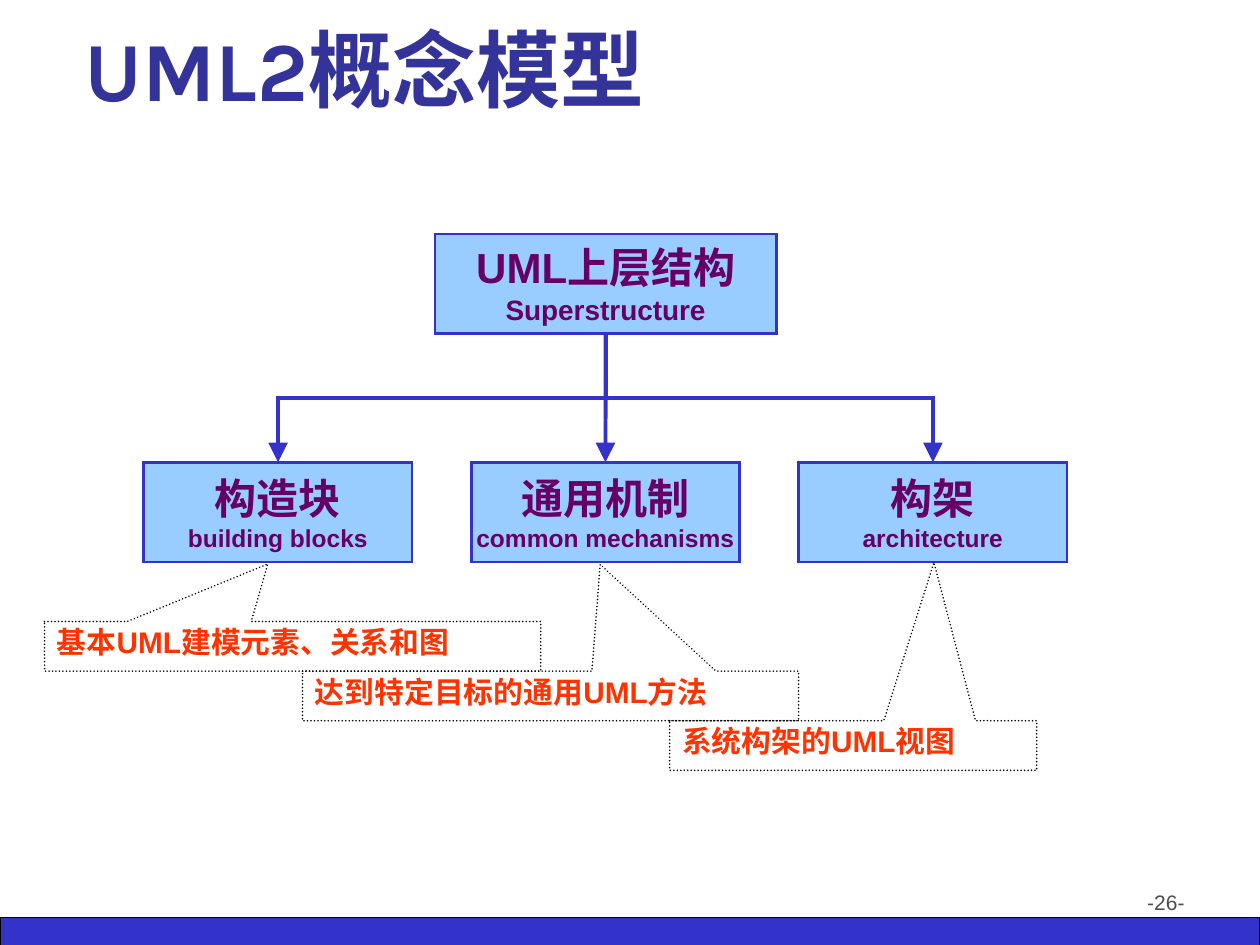
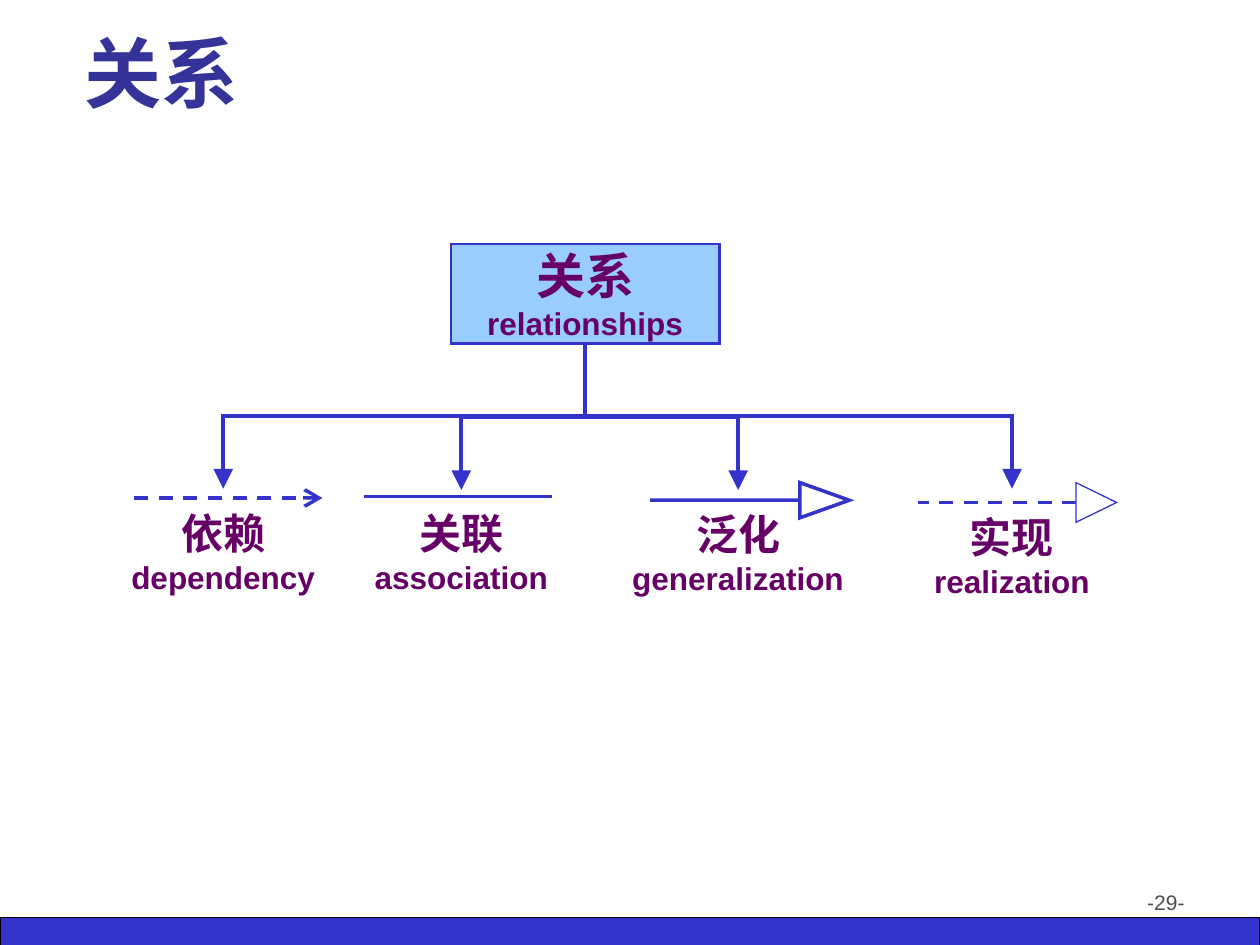
"""Build two slides on the UML2 conceptual model and its relationships."""
from dataclasses import dataclass

import pptx
import pptx.dml.color
import pptx.enum.dml
import pptx.enum.shapes
import pptx.enum.text
import pptx.oxml.ns
import pptx.util
from lxml import etree

Cm = pptx.util.Cm
Pt = pptx.util.Pt
qn = pptx.oxml.ns.qn
SHAPE = pptx.enum.shapes.MSO_SHAPE
CONNECTOR = pptx.enum.shapes.MSO_CONNECTOR
DASH = pptx.enum.dml.MSO_LINE
ALIGN = pptx.enum.text.PP_ALIGN
ANCHOR = pptx.enum.text.MSO_ANCHOR


@dataclass(frozen=True)
class Theme:
    """Colours, fonts, type sizes and line widths of the deck."""

    title: str = "333399"
    accent: str = "3333CC"
    box: str = "99CCFF"
    label: str = "660066"
    note: str = "FF3300"
    page: str = "4D4D4D"
    black: str = "000000"
    title_font: str = "Karla"
    body_font: str = "Arial"
    name_size: int = 24
    english_size: int = 18
    note_size: int = 17
    page_size: int = 12
    box_line: float = 1.5
    tree_line: float = 2.25
    sample_line: float = 2
    note_line: float = 1
    thin_line: float = 0.75


THEME = Theme()
BOX_WIDTH, BOX_HEIGHT = 5.41, 2.01


def rgb(value):
    """Turn a hexadecimal string into a colour."""
    return pptx.dml.color.RGBColor.from_string(value)


def style_line(shape, color, width, dash=None):
    """Set the colour, width and dash of a shape's line, with mitred corners."""
    shape.line.color.rgb = rgb(color)
    shape.line.width = Pt(width)
    if dash is not None:
        shape.line.dash_style = dash
    outline = shape._element.spPr.find(qn("a:ln"))
    etree.SubElement(outline, qn("a:miter"), lim="800000")
    return outline


def style_paragraph(paragraph, size, color, bold=True, font=THEME.body_font, align=ALIGN.LEFT):
    """Set the font and alignment of a paragraph."""
    paragraph.font.name = font
    paragraph.font.size = Pt(size)
    paragraph.font.bold = bold
    paragraph.font.color.rgb = rgb(color)
    paragraph.alignment = align


def add_outline(shapes, kind, left, top, width, height, color, line_width, fill=None, dash=None):
    """Add a preset shape with a line, filled only when a fill is given."""
    shape = shapes.add_shape(kind, Cm(left), Cm(top), Cm(width), Cm(height))
    shape.shadow.inherit = False
    if fill:
        shape.fill.solid()
        shape.fill.fore_color.rgb = rgb(fill)
    else:
        shape.fill.background()
    outline = style_line(shape, color, line_width, dash)
    if dash == DASH.ROUND_DOT:
        outline.set("cap", "rnd")
    return shape


def write_label(shape, name, english, name_size, english_size):
    """Write a Chinese name above its English term, centred."""
    frame = shape.text_frame
    frame.word_wrap = False
    frame.text = f"{name}\n{english}"
    for paragraph, size in zip(frame.paragraphs, (name_size, english_size)):
        style_paragraph(paragraph, size, THEME.label, align=ALIGN.CENTER)


def add_box(slide, left, top, name, english, english_size, name_size=THEME.name_size, width=BOX_WIDTH):
    """Add a labelled node of the tree."""
    box = add_outline(slide.shapes, SHAPE.RECTANGLE, left, top, width, BOX_HEIGHT,
                      THEME.accent, THEME.box_line, THEME.box)
    write_label(box, name, english, name_size, english_size)
    box.text_frame.vertical_anchor = ANCHOR.MIDDLE
    return box


def add_caption(slide, center, top, inset, name, english):
    """Add a caption that hangs below a sample line."""
    width = 4.8
    caption = slide.shapes.add_textbox(Cm(center - width / 2), Cm(top), Cm(width), Cm(2.4))
    write_label(caption, name, english, THEME.name_size, THEME.english_size)
    caption.text_frame.margin_top = Cm(inset)
    return caption


def add_callout(slide, left, top, width, text, pointer):
    """Add a dotted callout whose pointer is given relative to its size."""
    callout = add_outline(slide.shapes, SHAPE.RECTANGULAR_CALLOUT, left, top, width, 1,
                          THEME.black, THEME.note_line, dash=DASH.ROUND_DOT)
    callout.adjustments[0], callout.adjustments[1] = pointer
    frame = callout.text_frame
    frame.vertical_anchor = ANCHOR.TOP
    frame.text = text
    style_paragraph(frame.paragraphs[0], THEME.note_size, THEME.note)
    frame.paragraphs[0].line_spacing = 0.9


def finish_connector(connector, width, dash=None, head=None):
    """Style a connector, with a large arrowhead at its end when one is named."""
    outline = style_line(connector, THEME.accent, width, dash)
    if head:
        etree.SubElement(outline, qn("a:tailEnd"), type=head, w="lg", len="lg")
    etree.SubElement(connector._element.spPr, qn("a:effectLst"))


def add_sample(shapes, left, right, height, dash=None, head=None):
    """Add a horizontal line that shows a relationship's notation."""
    sample = shapes.add_connector(CONNECTOR.STRAIGHT, Cm(left), Cm(height), Cm(right), Cm(height))
    finish_connector(sample, THEME.sample_line, dash, head)


def link(slide, parent, child):
    """Join a parent's bottom to a child's top, bending where they are not aligned."""
    start_x, start_y = parent.left + parent.width // 2, parent.top + parent.height
    end_x, end_y = child.left + child.width // 2, child.top
    across, down = end_x - start_x, end_y - start_y
    straight = abs(across) < Cm(0.05)
    kind = CONNECTOR.STRAIGHT if straight else CONNECTOR.ELBOW
    connector = slide.shapes.add_connector(kind, start_x, start_y, end_x, end_y)
    connector.begin_connect(parent, 2)
    connector.end_connect(child, 0)
    if not straight:
        connector.left = (start_x + end_x - down) // 2
        connector.top = (start_y + end_y - abs(across)) // 2
        connector.width, connector.height = down, abs(across)
        transform = connector._element.spPr.find(qn("a:xfrm"))
        transform.set("rot", "5400000" if across < 0 else "16200000")
        transform.set("flipH", "0" if across < 0 else "1")
    finish_connector(connector, THEME.tree_line, head="triangle")


def add_band(layout, slide):
    """Draw the bottom band and hand it to the shared layout."""
    band = add_outline(slide.shapes, SHAPE.RECTANGLE, 0, 18.49, 25.4, 0.64,
                       THEME.black, THEME.thin_line, THEME.accent)
    layout.shapes._spTree.append(band._element)


def add_slide(presentation, title, title_size, page):
    """Add a slide with its title and page number."""
    slide = presentation.slides.add_slide(presentation.slide_layouts[5])
    heading = slide.shapes.title
    heading.left, heading.top, heading.width, heading.height = Cm(1.45), Cm(0.71), Cm(22.05), Cm(1.8)
    frame = heading.text_frame
    frame.text = title
    frame.auto_size = pptx.enum.text.MSO_AUTO_SIZE.NONE
    frame.vertical_anchor = ANCHOR.BOTTOM
    style_paragraph(frame.paragraphs[0], title_size, THEME.title, font=THEME.title_font)
    number = slide.shapes.add_textbox(Cm(18.21), Cm(17.81), Cm(5.92), Cm(1.32)).text_frame
    number.word_wrap = True
    number.text = f"-{page}-"
    style_paragraph(number.paragraphs[0], THEME.page_size, THEME.page, bold=False, align=ALIGN.RIGHT)
    return slide


def build_model_slide(presentation):
    """Build the tree of the conceptual model with its callouts."""
    slide = add_slide(presentation, "UML2概念模型", 48, 26)
    root = add_box(slide, 8.77, 4.72, "UML上层结构", "Superstructure", 16, width=6.88)
    parts = [("构造块", "building blocks"), ("通用机制", "common mechanisms"), ("构架", "architecture")]
    boxes = [add_box(slide, 2.9 + 6.6 * index, 9.32, *part, 14) for index, part in enumerate(parts)]
    for box in boxes:
        link(slide, root, box)
    callouts = [
        (0.9, 10, "基本UML建模元素、关系和图", (-0.05, -1.66)),
        (6.1, 10, "达到特定目标的通用UML方法", (0.1, -2.65)),
        (13.5, 7.4, "系统构架的UML视图", (0.22, -3.69)),
    ]
    for index, (left, width, text, pointer) in enumerate(callouts):
        add_callout(slide, left, 12.53 + index, width, text, pointer)
    return slide


def build_relationship_slide(presentation):
    """Build the tree of the four relationships with their notation."""
    slide = add_slide(presentation, "关系", 44, 29)
    root = add_box(slide, 9.09, 4.92, "关系", "relationships", THEME.english_size, name_size=28)
    captions = [
        (4.5, 9.85, 0.38, "依赖", "dependency"),
        (9.3, 9.88, 0.36, "关联", "association"),
        (14.88, 9.88, 0.38, "泛化", "generalization"),
        (20.4, 9.85, 0.46, "实现", "realization"),
    ]
    for caption in captions:
        link(slide, root, add_caption(slide, *caption))
    add_sample(slide.shapes, 2.7, 6.5, 10.04, DASH.DASH, "arrow")
    add_sample(slide.shapes, 7.34, 11.12, 10.01)
    arrow = add_outline(slide.shapes, SHAPE.RIGHT_ARROW, 13.1, 9.73, 4.02, 0.71,
                        THEME.accent, THEME.sample_line)
    arrow.adjustments[0], arrow.adjustments[1] = 0, 1.4
    realization = slide.shapes.add_group_shape().shapes
    triangle = add_outline(realization, SHAPE.FLOWCHART_EXTRACT, 21.7, 9.72, 0.8, 0.82,
                           THEME.accent, THEME.thin_line)
    triangle.rotation = 90
    add_sample(realization, 21.7, 18.5, 10.13, DASH.DASH)


def main():
    """Create the presentation and save it."""
    presentation = pptx.Presentation()
    presentation.slide_width, presentation.slide_height = Cm(25.4), Cm(19.05)
    model_slide = build_model_slide(presentation)
    add_band(presentation.slide_layouts[5], model_slide)
    build_relationship_slide(presentation)
    presentation.save("out.pptx")


if __name__ == "__main__":
    main()
